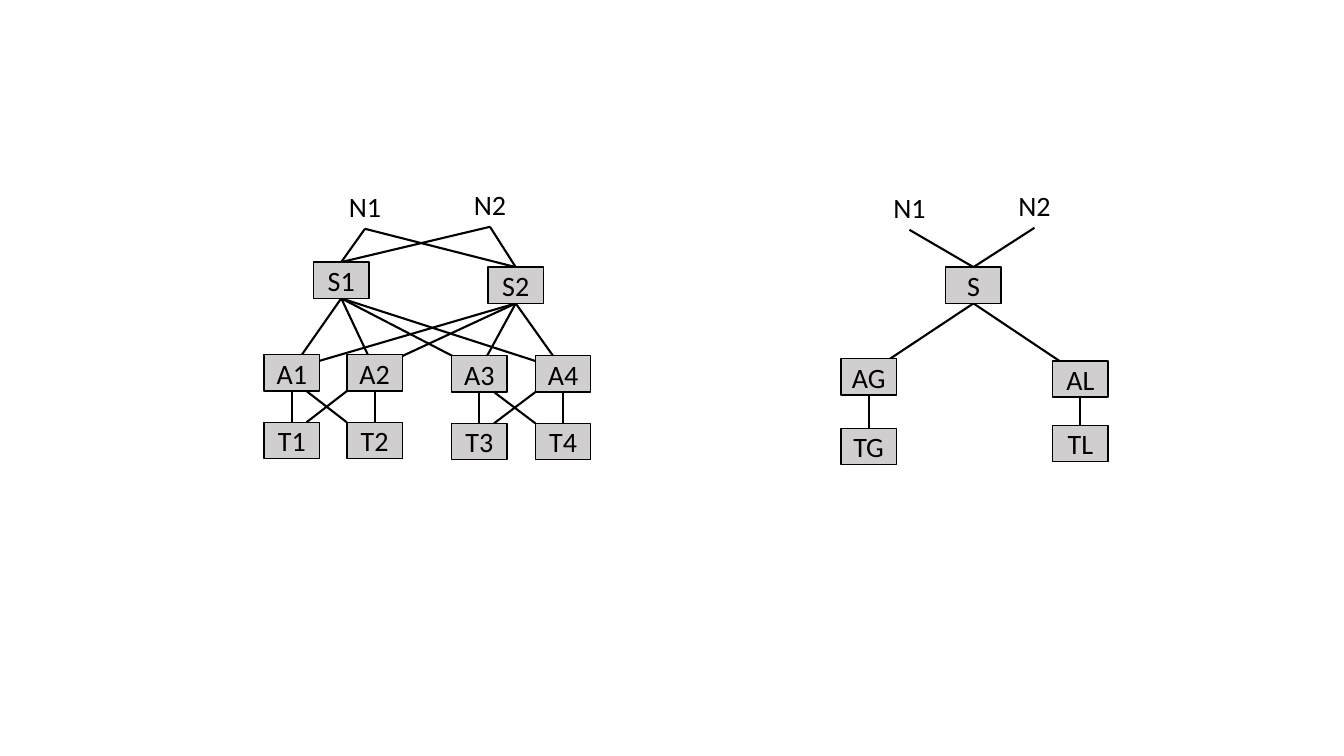
from dataclasses import dataclass
from itertools import product

from lxml.etree import SubElement
from pptx import Presentation
from pptx.dml.color import RGBColor
from pptx.enum.shapes import MSO_CONNECTOR as Connector, MSO_SHAPE as Shape
from pptx.enum.text import MSO_ANCHOR as Anchor, PP_ALIGN as Align
from pptx.oxml.ns import qn
from pptx.util import Inches, Pt


@dataclass(frozen=True)
class Theme:
    font: str = "Calibri"
    text_size: int = 20
    ink: RGBColor = RGBColor(0, 0, 0)
    box_fill: RGBColor = RGBColor(0xD0, 0xCE, 0xCE)
    box_line: float = 1
    link_line: float = 1.5


THEME = Theme()
BOX_W, BOX_H = 0.55, 0.36
LABEL_W, LABEL_H = 1.36, 0.44
LINK_DEPTH = 0.14  # how far a switch link runs behind the box it reaches
CROSS_INSET = 0.42  # where a crossing link meets the left box of a pair


@dataclass(frozen=True)
class Node:
    left: float
    top: float
    width: float = BOX_W
    height: float = BOX_H

    def upper(self, depth=0):
        return self.left + self.width / 2, self.top + depth

    def lower(self):
        return self.left + self.width / 2, self.top + self.height


def write_text(shape, text):
    frame = shape.text_frame
    para = frame.paragraphs[0]
    para.alignment = Align.CENTER
    span = para.add_run()
    span.text = text
    for name, value in {"name": THEME.font, "size": Pt(THEME.text_size)}.items():
        setattr(span.font, name, value)
    span.font.color.rgb = THEME.ink
    return frame


def add_box(slide, name, node):
    box = slide.shapes.add_shape(
        Shape.RECTANGLE, *map(Inches, (node.left, node.top, node.width, node.height)))
    box.shadow.inherit = False
    box.fill.solid()
    box.fill.fore_color.rgb = THEME.box_fill
    box.line.color.rgb = THEME.ink
    box.line.width = Pt(THEME.box_line)
    frame = write_text(box, name)
    settings = {"vertical_anchor": Anchor.MIDDLE, "margin_left": 0, "margin_right": 0,
                "margin_top": 0, "margin_bottom": 0}
    for key, value in settings.items():
        setattr(frame, key, value)


def add_label(slide, name, node):
    label = slide.shapes.add_textbox(
        *map(Inches, (node.left, node.top, node.width, node.height)))
    write_text(label, name).word_wrap = True


def add_link(slide, start, end):
    link = slide.shapes.add_connector(Connector.STRAIGHT, *map(Inches, (*start, *end)))
    link.line.color.rgb = THEME.ink
    link.line.width = Pt(THEME.link_line)
    SubElement(link._element.spPr, qn("a:effectLst"))


def draw_network(slide, left, top, labels, boxes, pairs=()):
    """Place the nodes at offsets from (left, top), with links between the tiers N, S, A and T."""
    nodes = {name: Node(left + x, top + y, LABEL_W, LABEL_H) for name, (x, y) in labels.items()}
    nodes |= {name: Node(left + x, top + y) for name, (x, y) in boxes.items()}
    tiers = {tier: [name for name in nodes if name[0] == tier] for tier in "NSAT"}

    for label, switch in product(tiers["N"], tiers["S"]):
        add_link(slide, nodes[label].lower(), nodes[switch].upper())
    for switch, access in product(tiers["S"], tiers["A"]):
        add_link(slide, nodes[switch].lower(), nodes[access].upper(LINK_DEPTH))
    for access, leaf in zip(tiers["A"], tiers["T"]):
        add_link(slide, nodes[access].lower(), nodes[leaf].upper())
    for first, second in pairs:
        for source, target in ((first, second), (second, first)):
            access, leaf = nodes["A" + source], nodes["T" + target]
            inset = {first: CROSS_INSET, second: 0}
            add_link(slide, (access.left + inset[source], access.top + BOX_H),
                     (leaf.left + inset[target], leaf.top))

    for name in boxes:
        add_box(slide, name, nodes[name])
    for name in labels:
        add_label(slide, name, nodes[name])


def draw_redundant_network(slide, left, top):
    boxes = {"S1": (0.49, 0.79), "S2": (2.22, 0.84)}
    for index, x in enumerate((0, 0.82, 1.86, 2.69), start=1):
        drop = 0.01 * (index > 2)
        boxes[f"A{index}"] = (x, 1.71 + drop)
        boxes[f"T{index}"] = (x, 2.38 + drop)
    labels = {"N1": (0.32, 0.02), "N2": (1.56, 0)}
    draw_network(slide, left, top, labels, boxes, pairs=("12", "34"))


def draw_simple_network(slide, left, top):
    labels = {"N1": (0, 0.02), "N2": (1.24, 0)}
    boxes = {"S": (1.04, 0.83), "AG": (0, 1.74), "AL": (2.1, 1.76),
             "TG": (0, 2.43), "TL": (2.1, 2.4)}
    draw_network(slide, left, top, labels, boxes)


def main():
    deck = Presentation()
    deck.slide_width, deck.slide_height = Inches(13.33), Inches(7.5)
    page = deck.slides.add_slide(deck.slide_layouts[6])
    draw_redundant_network(page, 2.62, 1.81)
    draw_simple_network(page, 8.34, 1.82)
    deck.save("out.pptx")


if __name__ == "__main__":
    main()
